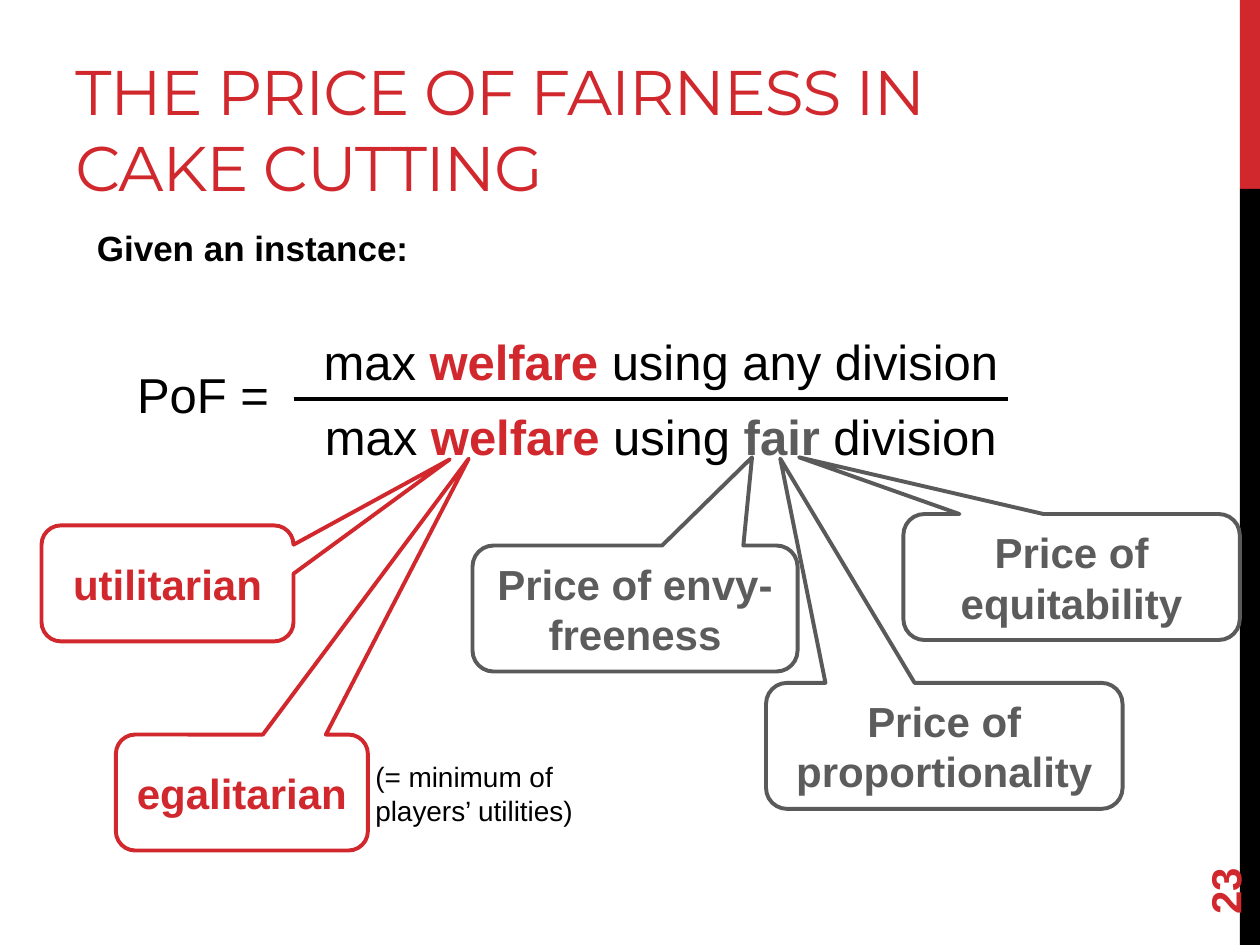
"""Build the slide on the price of fairness in cake cutting."""
from typing import NamedTuple

from lxml import etree
from pptx import Presentation
from pptx.dml.color import RGBColor
from pptx.enum.shapes import MSO_CONNECTOR, MSO_SHAPE
from pptx.enum.text import MSO_ANCHOR as ANCHOR, PP_ALIGN as ALIGN
from pptx.oxml.ns import qn
from pptx.util import Inches, Pt

RED = RGBColor(0xD1, 0x28, 0x2E)
BLACK = RGBColor(0, 0, 0)
GRAY = RGBColor(0x5C, 0x5C, 0x5C)
OUTLINE = RGBColor(0x5A, 0x5A, 0x5A)


class Run(NamedTuple):
    text: str
    color: RGBColor = BLACK
    bold: bool = False


class Label(NamedTuple):
    box: tuple
    runs: list
    size: int
    align: ALIGN = ALIGN.LEFT
    anchor: ANCHOR = ANCHOR.TOP
    font: str = "Arial"
    rotation: int = 0
    spacing: int = 0


class Callout(NamedTuple):
    text: str
    box: tuple
    tip: tuple
    color: RGBColor
    line: RGBColor


class Bar(NamedTuple):
    top: float
    height: float
    color: RGBColor


BARS = [Bar(0, 1.5, RED), Bar(1.5, 6, BLACK)]

LABELS = [
    Label((0.5, 0.17, 7.67, 1.5), [Run("THE PRICE OF FAIRNESS IN CAKE CUTTING", RED)],
          36, anchor=ANCHOR.BOTTOM, font="Montserrat", spacing=-60),
    Label((0.67, 1.75, 8.92, 0.58), [Run("Given an instance:", bold=True)], 20),
    Label((2.33, 2.58, 5.83, 0.57),
          [Run("max "), Run("welfare", RED, True), Run(" using any division")],
          28, ALIGN.CENTER),
    Label((2.33, 3.18, 5.83, 0.57),
          [Run("max "), Run("welfare", RED, True), Run(" using "),
           Run("fair ", GRAY, True), Run("division")],
          28, ALIGN.CENTER),
    Label((0.75, 2.84, 1.83, 0.57), [Run("PoF = ")], 28, ALIGN.CENTER),
    Label((9, 6.44, 1.44, 0.4), [Run("23", RED, True)], 24,
          anchor=ANCHOR.MIDDLE, rotation=270),
    Label((2.88, 5.98, 2.29, 0.64), [Run("(= minimum of players’ utilities)")], 16),
]

CALLOUTS = [
    Callout("Price of equitability", (7.17, 4.08, 2.67, 1), (-0.81, -0.95), GRAY, OUTLINE),
    Callout("Price of proportionality", (6.08, 5.42, 2.83, 1), (-0.46, -2.28), GRAY, OUTLINE),
    Callout("Price of envy-freeness", (3.75, 4.33, 2.58, 1), (0.36, -1.2), GRAY, OUTLINE),
    Callout("utilitarian", (0.33, 4.17, 2, 0.92), (1.12, -1.07), RED, RED),
    Callout("egalitarian", (0.92, 5.83, 2, 0.92), (0.9, -2.88), RED, RED),
]


def write(sp, label: Label) -> None:
    tf = sp.text_frame
    tf.word_wrap = True
    tf.vertical_anchor = label.anchor
    p = tf.paragraphs[0]
    p.alignment = label.align
    for run in label.runs:
        r = p.add_run()
        r.text = run.text
        formats = {"name": label.font, "size": Pt(label.size), "bold": run.bold}
        for name, value in formats.items():
            setattr(r.font, name, value)
        r.font.color.rgb = run.color
        if label.spacing:
            r._r.get_or_add_rPr().set("spc", str(label.spacing))


def add_bar(slide, bar: Bar) -> None:
    sp = slide.shapes.add_shape(MSO_SHAPE.RECTANGLE, Inches(9.84), Inches(bar.top),
                                Inches(0.16), Inches(bar.height))
    sp.shadow.inherit = False
    sp.fill.solid()
    sp.fill.fore_color.rgb = bar.color
    sp.line.fill.background()


def add_label(slide, label: Label) -> None:
    sp = slide.shapes.add_textbox(*map(Inches, label.box))
    sp.rotation = label.rotation
    write(sp, label)


def add_callout(slide, callout: Callout) -> None:
    sp = slide.shapes.add_shape(MSO_SHAPE.ROUNDED_RECTANGULAR_CALLOUT,
                                *map(Inches, callout.box))
    sp.shadow.inherit = False
    sp.fill.background()
    sp.line.color.rgb = callout.line
    sp.line.width = Pt(2.25)
    sp.adjustments[0], sp.adjustments[1] = callout.tip
    write(sp, Label(callout.box, [Run(callout.text, callout.color, True)], 24,
                    ALIGN.CENTER, ANCHOR.MIDDLE))


def add_fraction_line(slide) -> None:
    line = slide.shapes.add_connector(MSO_CONNECTOR.STRAIGHT, Inches(2.33), Inches(3.17),
                                      Inches(8), Inches(3.17))
    line.line.color.rgb = BLACK
    line.line.width = Pt(2.25)
    etree.SubElement(line._element.spPr, qn("a:effectLst"))


def main() -> None:
    prs = Presentation()
    prs.slide_width, prs.slide_height = Inches(10), Inches(7.5)
    slide = prs.slides.add_slide(prs.slide_layouts[6])
    for bar in BARS:
        add_bar(slide, bar)
    for label in LABELS:
        add_label(slide, label)
    add_fraction_line(slide)
    for callout in CALLOUTS:
        add_callout(slide, callout)
    prs.save("out.pptx")


main()
